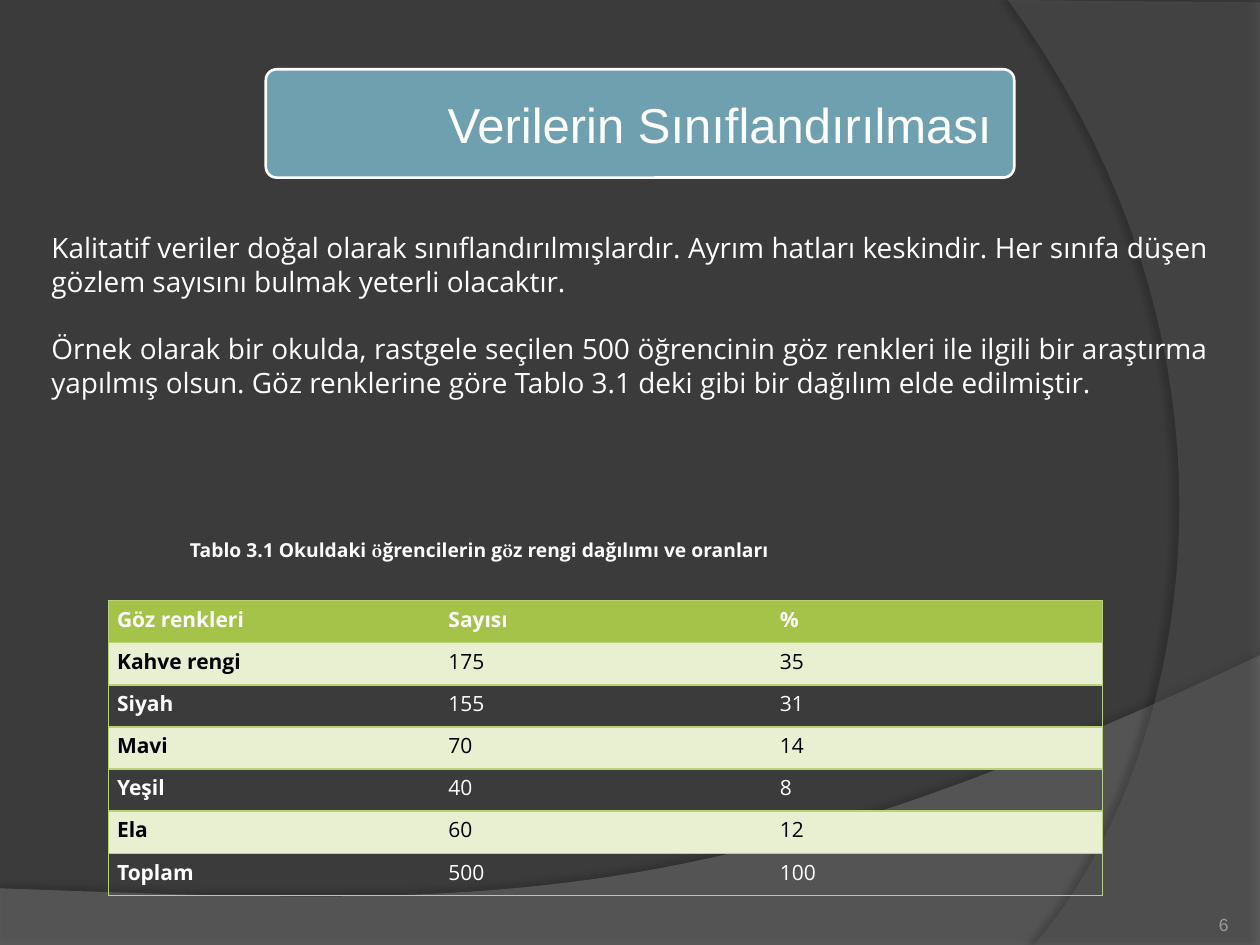
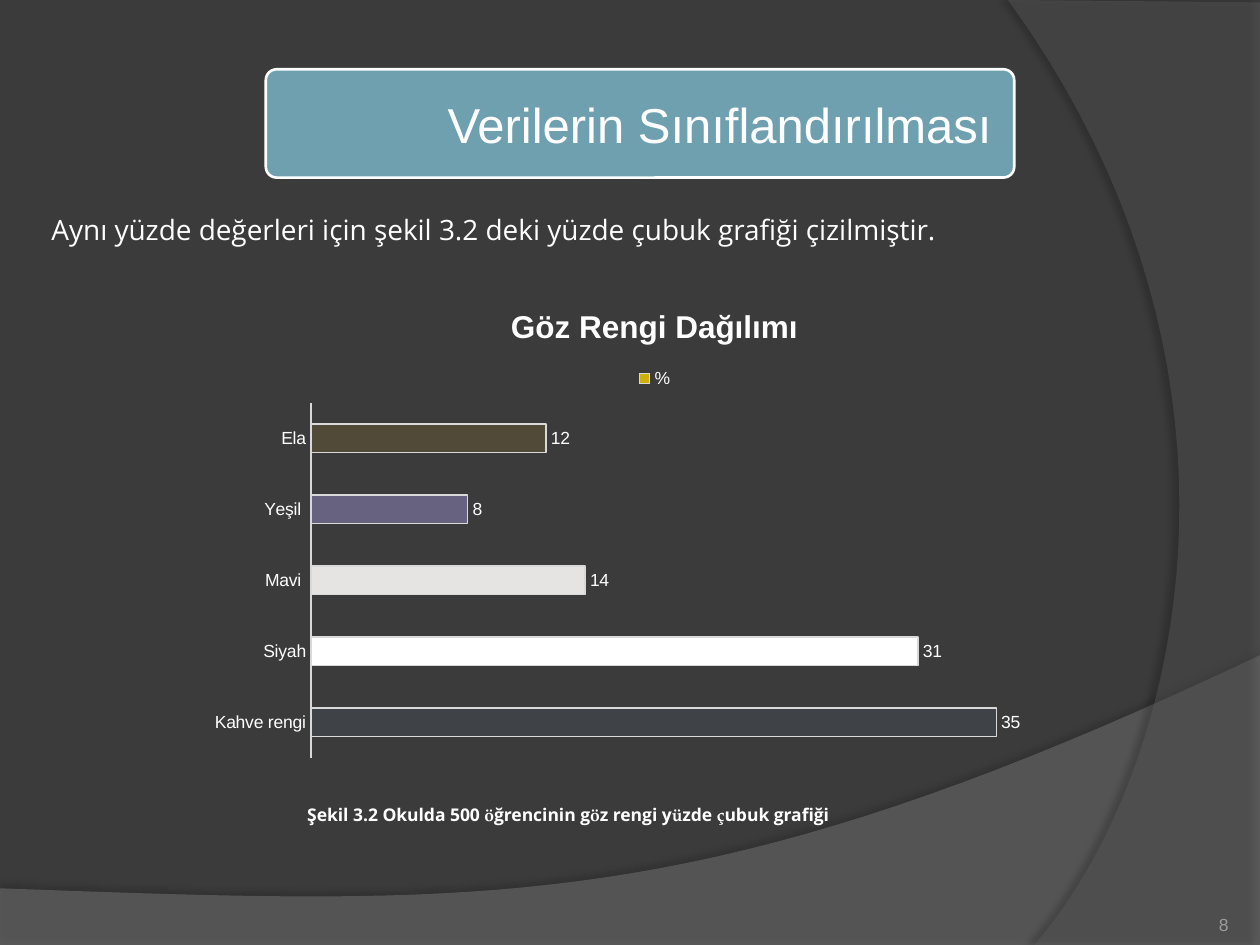
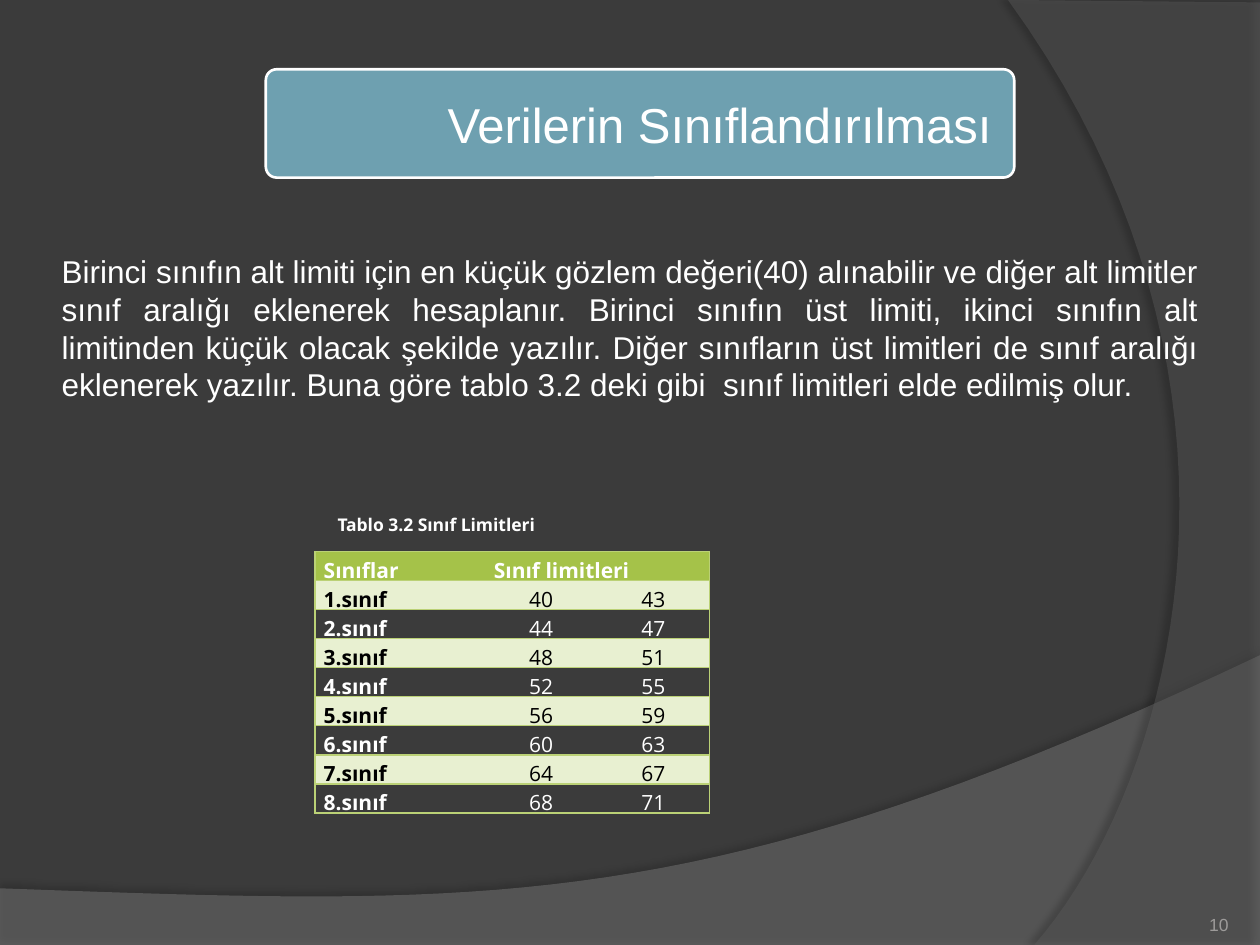
import pptx
import pptx.chart.data
import pptx.dml.color
import pptx.enum.chart
import pptx.enum.shapes
import pptx.enum.text
import pptx.oxml.ns
import pptx.util
from lxml import etree

Pt = pptx.util.Pt
qn = pptx.oxml.ns.qn
ALIGN = pptx.enum.text.PP_ALIGN
ANCHOR = pptx.enum.text.MSO_ANCHOR

COLORS = {
    "background": "3B3B3B", "wave": "7F7F7F", "arc": "5E5E5E",
    "title": "6EA0B0", "text": "FFFFFF", "number": "9D9B9A",
    "header": "A5C249", "band": "E8F0D1", "border": "BBD176",
    "dark": "000000", "series": "CCAF0A", "outline": "D9D9D9",
}
BAR_COLORS = ["3F4247", "FFFFFF", "E5E4E3", "67627F", "514A38"]
SANS, ARIAL, SERIF = "Open Sans", "Arial", "TeX Gyre Pagella"
TITLE = "Verilerin Sınıflandırılması"


def rgb(name):
    return pptx.dml.color.RGBColor.from_string(COLORS.get(name, name))


def add_run(p, text, size, font=SANS, color="text", bold=False):
    r = p.add_run()
    r.text = text
    r.font.size = Pt(size)
    r.font.name = font
    r.font.bold = bold
    r.font.color.rgb = rgb(color)


def add_text(s, box, paragraphs, size, font=SANS, color="text", bold=False,
             align=ALIGN.JUSTIFY, anchor=ANCHOR.MIDDLE, inset=None, gap=0):
    """Each paragraph is a string or a list of (text, font) runs."""
    tf = s.shapes.add_textbox(*map(Pt, box)).text_frame
    tf.word_wrap = True
    tf.vertical_anchor = anchor
    if inset is not None:
        tf.margin_left = tf.margin_right = Pt(inset)
        tf.margin_top = tf.margin_bottom = Pt(inset)
    for i, runs in enumerate(paragraphs):
        p = tf.add_paragraph() if i else tf.paragraphs[0]
        p.alignment = align
        if i and gap:
            p.space_before = Pt(gap)
        for text, face in [(runs, font)] if isinstance(runs, str) else runs:
            add_run(p, text, size, face, color, bold)


def mixed_fonts(text):
    """Split at the bars: every second piece is set in the serif font."""
    return [(t, SERIF if i % 2 else SANS)
            for i, t in enumerate(text.split("|"))]


# Background shapes
def curve(p0, p1, p2, p3, steps=40):
    points = []
    for i in range(1, steps + 1):
        t = i / steps
        weights = ((1 - t) ** 3, 3 * t * (1 - t) ** 2,
                   3 * t * t * (1 - t), t ** 3)
        points.append(tuple(sum(w * q[k] for w, q in zip(weights, (p0, p1, p2, p3)))
                            for k in (0, 1)))
    return points


def add_band(s, points, color, opacity, shadow_opacity, distance, angle):
    emu = [(Pt(x), Pt(y)) for x, y in points]
    builder = s.shapes.build_freeform(*emu[0])
    builder.add_line_segments(emu[1:], close=True)
    sp = builder.convert_to_shape()
    sp.fill.solid()
    sp.fill.fore_color.rgb = rgb(color)
    sp.line.fill.background()
    sp.shadow.inherit = False
    spPr = sp._element.spPr
    fill = spPr.find(qn("a:solidFill"))
    etree.SubElement(fill[0], qn("a:alpha"), val=str(opacity * 1000))
    shadow = etree.SubElement(spPr.find(qn("a:effectLst")), qn("a:outerShdw"),
                              blurRad=str(Pt(4)), dist=str(Pt(distance)),
                              dir=str(angle * 60000), algn="ctr", rotWithShape="0")
    black = etree.SubElement(shadow, qn("a:srgbClr"), val=COLORS["dark"])
    etree.SubElement(black, qn("a:alpha"), val=str(shadow_opacity * 1000))


def add_slide(prs, number):
    s = prs.slides.add_slide(prs.slide_layouts[6])
    s.background.fill.solid()
    s.background.fill.fore_color.rgb = rgb("background")
    wave = [(0, 507.6), (0, 540.7), (720, 540.7), (720, 374.4)]
    wave += curve(wave[-1], (402.5, 525), (281.5, 517.7), wave[0])
    add_band(s, wave, "wave", 45, 35, 3.5, 270)
    arc = [(720, 1.4), (720, 540), (591, 540)]
    arc += curve(arc[-1], (673.2, 445.7), (733, 216), (576, 0))
    add_band(s, arc, "arc", 40, 45, 4, 180)
    add_text(s, (642.2, 505.4, 59.8, 28.8), [str(number)], 10, ARIAL, "number",
             align=ALIGN.RIGHT, anchor=ANCHOR.BOTTOM, inset=0)
    # Title plate
    sp = s.shapes.add_shape(pptx.enum.shapes.MSO_SHAPE.ROUNDED_RECTANGLE,
                            Pt(151.9), Pt(39.6), Pt(427.7), Pt(61.9))
    sp.adjustments[0] = 0.1
    sp.shadow.inherit = False
    sp.fill.solid()
    sp.fill.fore_color.rgb = rgb("title")
    sp.line.color.rgb = rgb("text")
    sp.line.width = Pt(1.5)
    add_text(s, (243.4, 39.6, 335.5, 61.9), [TITLE], 28, ARIAL,
             align=ALIGN.CENTER, inset=8.6)
    return s


# Tables
def set_borders(cell, sides):
    tcPr = cell._tc.get_or_add_tcPr()
    for i, side in enumerate("LRTB"):
        ln = etree.Element(qn("a:ln" + side), w=str(Pt(1)))
        if side in sides:
            fill = etree.SubElement(ln, qn("a:solidFill"))
            etree.SubElement(fill, qn("a:srgbClr"), val=COLORS["border"])
        else:
            etree.SubElement(ln, qn("a:noFill"))
        tcPr.insert(i, ln)


def add_table(s, left, top, widths, row_height, rows, value_align):
    table = s.shapes.add_table(len(rows), len(widths), Pt(left), Pt(top),
                               Pt(sum(widths)), Pt(row_height * len(rows))).table
    table.first_row = table.horz_banding = False
    for column, width in zip(table.columns, widths):
        column.width = Pt(width)
    for i, values in enumerate(rows):
        table.rows[i].height = Pt(row_height)
        fill = "header" if i == 0 else "band" if i % 2 else None
        for j in range(len(widths)):
            cell = table.cell(i, j)
            cell.margin_left = cell.margin_right = Pt(5)
            cell.margin_top = cell.margin_bottom = 0
            if fill:
                cell.fill.solid()
                cell.fill.fore_color.rgb = rgb(fill)
            else:
                cell.fill.background()
            last = j == len(widths) - 1
            set_borders(cell, "TB" + "L" * (j == 0) + "R" * last)
            if j >= len(values):
                # A short row lets its last value span the rest
                table.cell(i, len(values) - 1).merge(cell)
                set_borders_right = table.cell(i, len(values) - 1)
                tcPr = set_borders_right._tc.tcPr
                for ln in tcPr.findall(qn("a:lnL")) + tcPr.findall(qn("a:lnR")) \
                        + tcPr.findall(qn("a:lnT")) + tcPr.findall(qn("a:lnB")):
                    tcPr.remove(ln)
                set_borders(set_borders_right, "TBR")
                continue
            p = cell.text_frame.paragraphs[0]
            p.alignment = value_align if i and j else ALIGN.JUSTIFY
            p.line_spacing = 1.15
            add_run(p, values[j], 12, color="dark" if fill == "band" else "text",
                    bold=i == 0 or j == 0)


# Chart
def add_bar_chart(s, box, title, name, categories, values):
    data = pptx.chart.data.CategoryChartData()
    data.categories = categories
    data.add_series(name, values)
    chart = s.shapes.add_chart(pptx.enum.chart.XL_CHART_TYPE.BAR_CLUSTERED,
                               *map(Pt, box), data).chart
    chart.font.size = Pt(10)
    chart.font.name = ARIAL
    chart.font.color.rgb = rgb("text")
    chart.has_title = True
    add_run(chart.chart_title.text_frame.paragraphs[0], title, 18, ARIAL, bold=True)
    chart.chart_title.include_in_layout = False
    chart.has_legend = True
    chart.legend.position = pptx.enum.chart.XL_LEGEND_POSITION.TOP
    chart.legend.include_in_layout = False

    axis = chart.category_axis
    axis.major_tick_mark = pptx.enum.chart.XL_TICK_MARK.NONE
    axis.format.line.color.rgb = rgb("outline")
    axis = chart.value_axis
    axis.visible = False
    axis.has_major_gridlines = False
    axis.minimum_scale, axis.maximum_scale = 0, 40

    plot = chart.plots[0]
    plot.gap_width = 150
    plot.vary_by_categories = False
    plot.has_data_labels = True
    plot.data_labels.show_value = True
    plot.data_labels.position = pptx.enum.chart.XL_LABEL_POSITION.OUTSIDE_END
    series = plot.series[0]
    formats = [(series.format, "series")]
    formats += [(series.points[i].format, c) for i, c in enumerate(BAR_COLORS)]
    for fmt, color in formats:
        fmt.fill.solid()
        fmt.fill.fore_color.rgb = rgb(color)
        fmt.line.color.rgb = rgb("outline")
        fmt.line.width = Pt(0.75)


def main():
    prs = pptx.Presentation()
    prs.slide_width, prs.slide_height = Pt(720), Pt(540)
    eye_colors = ["Kahve rengi", "Siyah", "Mavi ", "Yeşil ", "Ela"]
    counts = [175, 155, 70, 40, 60]
    percents = [n * 100 // sum(counts) for n in counts]

    # Eye colour table
    s = add_slide(prs, 6)
    add_text(s, (22.3, 118, 675.4, 123.8), [
        "Kalitatif veriler doğal olarak sınıflandırılmışlardır. Ayrım hatları "
        "keskindir. Her sınıfa düşen gözlem sayısını bulmak yeterli olacaktır.",
        "Örnek olarak bir okulda, rastgele seçilen 500 öğrencinin göz renkleri "
        "ile ilgili bir araştırma yapılmış olsun. Göz renklerine göre Tablo 3.1 "
        "deki gibi bir dağılım elde edilmiştir."], 16, gap=19.2)
    rows = [["Göz renkleri", "Sayısı", "%"]]
    rows += [[c, str(n), str(v)] for c, n, v in zip(eye_colors, counts, percents)]
    rows.append(["Toplam", str(sum(counts)), str(sum(percents))])
    add_table(s, 61.9, 343.2, [189.4] * 3, 24.07, rows, ALIGN.JUSTIFY)
    add_text(s, (101.5, 303.8, 405.4, 20.9), [mixed_fonts(
        "Tablo 3.1 Okuldaki |ö|ğrencilerin g|ö|z rengi dağılımı ve oranları")],
        11, bold=True)

    # Percentage bar chart
    s = add_slide(prs, 8)
    add_text(s, (22.3, 118, 577.4, 26.6), [
        "Aynı yüzde değerleri için şekil 3.2 deki yüzde çubuk grafiği çizilmiştir."],
        16)
    add_bar_chart(s, (112.3, 162, 523.4, 276.5), "Göz Rengi Dağılımı", "%",
                  eye_colors, percents)
    add_text(s, (168.5, 455.8, 427.7, 19.4), [mixed_fonts(
        "Şekil 3.2 Okulda 500 |ö|ğrencinin g|ö|z rengi y|ü|zde |ç|ubuk grafiği")],
        10, bold=True)

    # Class limits table
    s = add_slide(prs, 10)
    add_text(s, (28.1, 140.4, 663.8, 94.3), [
        "Birinci sınıfın alt limiti için en küçük gözlem değeri(40) alınabilir ve "
        "diğer alt limitler sınıf aralığı eklenerek hesaplanır. Birinci sınıfın üst "
        "limiti, ikinci sınıfın alt limitinden küçük olacak şekilde yazılır. Diğer "
        "sınıfların üst limitleri de sınıf aralığı eklenerek yazılır. Buna göre "
        "tablo 3.2 deki gibi  sınıf limitleri elde edilmiş olur."],
        18, ARIAL, anchor=ANCHOR.TOP)
    rows = [["Sınıflar ", "Sınıf limitleri"]]
    rows += [[f"{i + 1}.sınıf", str(40 + 4 * i), str(43 + 4 * i)] for i in range(8)]
    add_table(s, 180, 315.2, [97.2, 64.1, 64.1], 16.56, rows, ALIGN.CENTER)
    add_text(s, (185.8, 290.2, 213.8, 19.4), ["Tablo 3.2 Sınıf Limitleri"],
             10, bold=True)

    prs.save("out.pptx")


main()
